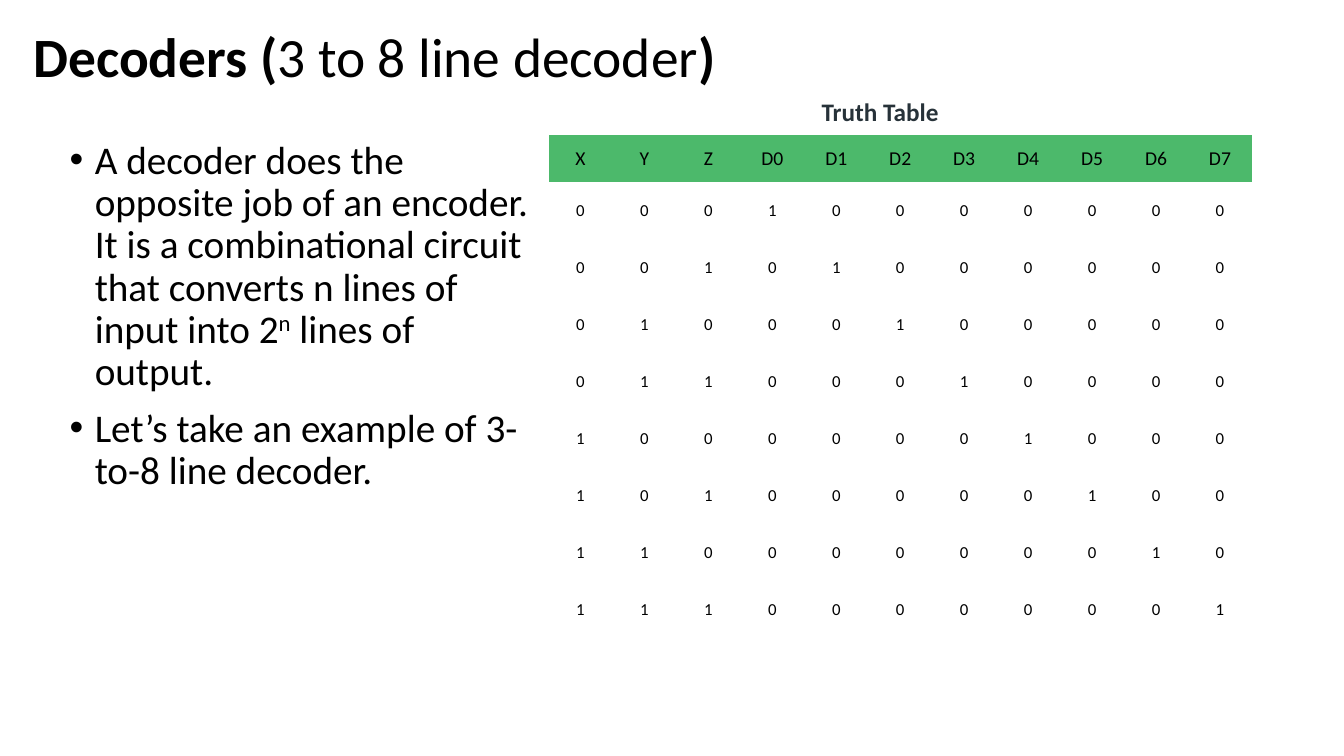
from pptx import Presentation
from pptx.dml.color import RGBColor
from pptx.enum.text import MSO_ANCHOR, MSO_AUTO_SIZE, PP_ALIGN
from pptx.oxml.ns import qn
from pptx.util import Inches, Pt

MIDDLE, TOP = MSO_ANCHOR.MIDDLE, MSO_ANCHOR.TOP
LEFT, CENTER = PP_ALIGN.LEFT, PP_ALIGN.CENTER
NO_FIT, GROW = MSO_AUTO_SIZE.NONE, MSO_AUTO_SIZE.SHAPE_TO_FIT_TEXT

BLACK = RGBColor(0x00, 0x00, 0x00)
WHITE = RGBColor(0xFF, 0xFF, 0xFF)
SLATE = RGBColor(0x27, 0x32, 0x39)
GREEN = RGBColor(0x4C, 0xB9, 0x6B)
FONT = "Calibri"
PLAIN_TABLE_STYLE = "{2D5ABB26-0587-4C30-8999-92F81FD0307C}"


def add_span(para, text, size, color=BLACK, bold=False, raised=False):
    span = para.add_run()
    span.text = text
    span.font.name = FONT
    span.font.size = Pt(size)
    span.font.bold = bold
    span.font.color.rgb = color
    if raised:
        span.font._element.set("baseline", "30000")


def place(box, left, top, width, height):
    box.left, box.top = Inches(left), Inches(top)
    box.width, box.height = Inches(width), Inches(height)


deck = Presentation()
deck.slide_width, deck.slide_height = Inches(13.33), Inches(7.5)
page = deck.slides.add_slide(deck.slide_layouts[1])

# Title
title = page.shapes.title
place(title, 0.23, 0.28, 12.42, 0.63)
title.text_frame.auto_size = NO_FIT
title.text_frame.vertical_anchor = MIDDLE
para = title.text_frame.paragraphs[0]
para.alignment = LEFT
para.line_spacing = 0.9
for text, bold in [("Decoders (", True), ("3 to 8 line decoder", False), (") ", True)]:
    add_span(para, text, 39.6, bold=bold)

# Bulleted explanation: each bullet is a list of (text, raised) pieces
bullets = [
    [("A decoder does the opposite job of an encoder. It is a combinational "
      "circuit that converts n lines of input into 2", False),
     ("n", True),
     (" lines of output.", False)],
    [("Let’s take an example of 3-to-8 line decoder.", False)],
]
body = page.placeholders[1]
place(body, 0.59, 1.34, 4.85, 5.42)
frame = body.text_frame
frame.auto_size = NO_FIT
frame.vertical_anchor = TOP
for index, pieces in enumerate(bullets):
    para = frame.add_paragraph() if index else frame.paragraphs[0]
    para.line_spacing = 0.9
    para.space_before = Pt(10)
    props = para._p.get_or_add_pPr()
    props.set("marL", str(Inches(0.25)))
    props.set("indent", str(-Inches(0.25)))
    for text, raised in pieces:
        add_span(para, text, 28, raised=raised)

# Table caption
caption = page.shapes.add_textbox(Inches(8.05), Inches(0.91), Inches(1.54), Inches(0.4))
caption.text_frame.word_wrap = False
caption.text_frame.auto_size = GROW
add_span(caption.text_frame.paragraphs[0], "Truth Table", 18, color=SLATE, bold=True)

# Truth table: the three input bits, then a single 1 in the selected output
rows = [["X", "Y", "Z"] + [f"D{line}" for line in range(8)]]
for number in range(8):
    rows.append(list(f"{number:03b}") + [str(int(line == number)) for line in range(8)])

holder = page.shapes.add_table(
    len(rows), len(rows[0]), Inches(5.44), Inches(1.34), Inches(6.98), Inches(4.99))
holder.element.find(".//" + qn("a:tableStyleId")).text = PLAIN_TABLE_STYLE
table = holder.table
table.horz_banding = False
for row_index, values in enumerate(rows):
    header = row_index == 0
    table.rows[row_index].height = Inches(0.47 if header else 0.565)
    side, edge = (0.07, 0.07) if header else (0.08, 0.12)
    for column_index, value in enumerate(values):
        cell = table.cell(row_index, column_index)
        cell.fill.solid()
        cell.fill.fore_color.rgb = GREEN if header else WHITE
        cell.vertical_anchor = MIDDLE
        cell.margin_left = cell.margin_right = Inches(side)
        cell.margin_top = cell.margin_bottom = Inches(edge)
        para = cell.text_frame.paragraphs[0]
        para.alignment = CENTER
        add_span(para, value, 14 if header else 12)

deck.save("out.pptx")
